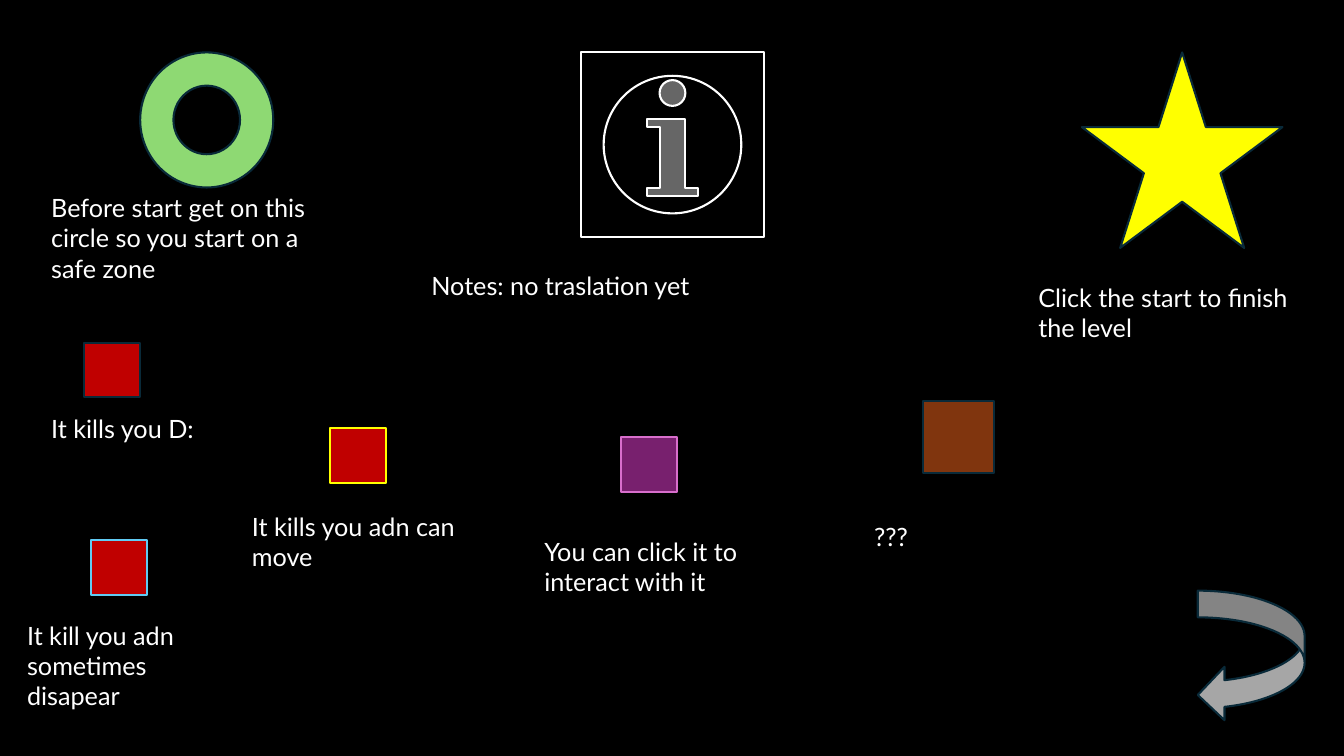
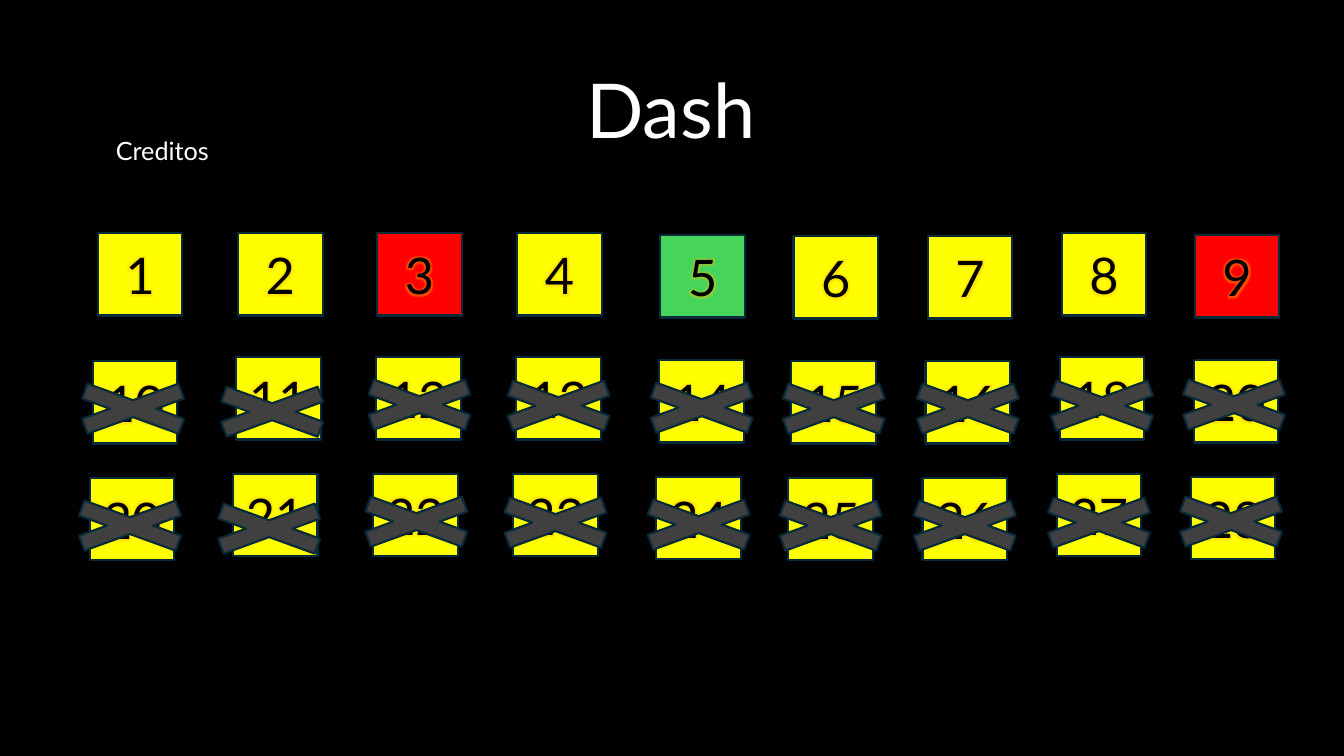
from lxml.etree import SubElement
from pptx import Presentation
from pptx.dml.color import RGBColor
from pptx.enum.shapes import MSO_SHAPE as Kind
from pptx.enum.text import MSO_ANCHOR, MSO_AUTO_SIZE, PP_ALIGN
from pptx.oxml.ns import qn
from pptx.util import Inches, Pt

FONT = "Lato"
HEX = {
    "black": "000000", "white": "FFFFFF", "edge": "092A39",
    "yellow": "FFFF00", "red": "FF0000", "green": "47D45A",
    "lime": "8ED973", "blood": "C00000", "sky": "61CBF4",
    "plum": "78206E", "pink": "D86ECC", "brown": "80350E",
    "silver": "A6A6A6", "slate": "404040", "glow": "FFC000",
}

# Legend: kind, left, top, width, height, fill, line
SIGNS = [
    (Kind.ACTION_BUTTON_INFORMATION, 5.76, 0.52, 1.82, 1.83, "black", "white"),
    (Kind.DONUT, 1.39, 0.52, 1.32, 1.34, "lime", "edge"),
    (Kind.STAR_5_POINT, 10.73, 0.52, 1.99, 1.94, "yellow", "edge"),
    (Kind.CURVED_LEFT_ARROW, 11.88, 5.86, 1.06, 1.3, "silver", "edge"),
    (Kind.RECTANGLE, 9.15, 3.98, 0.71, 0.71, "brown", "edge"),
]
# Small blocks: left, top, fill, line
BLOCKS = [
    (0.83, 3.4, "blood", "edge"),
    (3.27, 4.25, "blood", "yellow"),
    (6.16, 4.34, "plum", "pink"),
    (0.9, 5.36, "blood", "sky"),
]
# Labels: text, left, top, width, height
LABELS = [
    ("Before start get on this circle so you start on a safe zone",
     0.41, 1.86, 3.04, 1.01),
    ("Notes: no traslation yet", 4.18, 2.63, 5.08, 0.4),
    ("Click the start to finish the level", 10.2, 2.75, 3.04, 0.71),
    ("It kills you D:", 0.41, 4.05, 1.62, 0.4),
    ("It kills you adn can move", 2.4, 5.02, 2.28, 0.71),
    ("You can click it to interact with it", 5.3, 5.27, 2.55, 0.71),
    ("It kill you adn sometimes disapear", 0.17, 6.1, 1.91, 1.01),
    ("???", 8.57, 5.12, 2.55, 0.4),
]

# Level grid: places of the open tiles, the locked tiles and their crosses
OPEN = [(0.97, 2.31), (2.36, 2.31), (3.74, 2.31), (5.13, 2.31), (6.55, 2.33),
        (7.87, 2.34), (9.2, 2.34), (10.53, 2.31), (11.85, 2.33)]
LOCKED = [(0.92, 3.58), (2.34, 3.54), (3.73, 3.54), (5.12, 3.54), (6.54, 3.57),
          (7.85, 3.58), (9.18, 3.58), (10.51, 3.54), (11.84, 3.57)]
CROSS = [(0.4, 3.72), (1.78, 3.75), (3.24, 3.68), (4.62, 3.69), (6.04, 3.71),
         (7.35, 3.72), (8.68, 3.72), (10.01, 3.69), (11.32, 3.68)]
SHIFT = (-0.03, 1.16)  # from the first locked row to the second
ROWS = [(10, 11, 12, 13, 14, 15, 16, 18, 20), range(20, 29)]
TINTS = {3: "red", 5: "green", 9: "red"}


def color(name):
    return RGBColor.from_string(HEX[name])


def write(frame, text, size=18, tint="white", align=None, anchor=None,
          space=None):
    """Put one formatted paragraph in a text frame and return its run."""
    frame.word_wrap = True
    if anchor is not None:
        frame.vertical_anchor = anchor
    para = frame.paragraphs[0]
    para.alignment = align
    para.line_spacing = space
    run = para.add_run()
    run.text = text
    run.font.name = FONT
    run.font.size = Pt(size)
    run.font.color.rgb = color(tint)
    return run


def draw(slide, kind, left, top, width, height, fill, line="edge"):
    shape = slide.shapes.add_shape(
        kind, Inches(left), Inches(top), Inches(width), Inches(height))
    shape.shadow.inherit = False
    shape.fill.solid()
    shape.fill.fore_color.rgb = color(fill)
    shape.line.color.rgb = color(line)
    shape.line.width = Pt(1.5)
    return shape


def label(slide, text, left, top, width, height):
    box = slide.shapes.add_textbox(
        Inches(left), Inches(top), Inches(width), Inches(height))
    box.text_frame.auto_size = MSO_AUTO_SIZE.SHAPE_TO_FIT_TEXT
    write(box.text_frame, text)


def halo(run):
    """Add a soft glow after the fill of the run's text."""
    props = run.font._element
    effect = SubElement(props, qn("a:effectLst"))
    props.find(qn("a:solidFill")).addnext(effect)
    glow = SubElement(effect, qn("a:glow"), rad="63500")
    tint = SubElement(glow, qn("a:srgbClr"), val=HEX["glow"])
    SubElement(tint, qn("a:alpha"), val="40000")


def tile(slide, num, left, top, fill="yellow"):
    shape = draw(slide, Kind.RECTANGLE, left, top, 0.84, 0.82, fill)
    halo(write(shape.text_frame, str(num), size=36, tint="black",
               align=PP_ALIGN.CENTER, anchor=MSO_ANCHOR.MIDDLE))


def start(deck, layout):
    """Add a slide with the shared black background."""
    slide = deck.slides.add_slide(deck.slide_layouts[layout])
    slide.background.fill.solid()
    slide.background.fill.fore_color.rgb = color("black")
    return slide


def legend(deck):
    slide = start(deck, 6)
    for sign in SIGNS:
        draw(slide, *sign)
    for left, top, fill, line in BLOCKS:
        draw(slide, Kind.RECTANGLE, left, top, 0.56, 0.54, fill, line)
    for item in LABELS:
        label(slide, *item)


def levels(deck):
    slide = start(deck, 0)

    # Title
    sub = slide.placeholders[1]._element
    sub.getparent().remove(sub)
    title = slide.shapes.title
    title.left, title.top = Inches(5.59), Inches(0.59)
    title.width, title.height = Inches(2.13), Inches(1)
    title.text_frame.auto_size = MSO_AUTO_SIZE.NONE
    write(title.text_frame, "Dash", size=54, align=PP_ALIGN.CENTER,
          anchor=MSO_ANCHOR.BOTTOM, space=0.9)
    label(slide, "Creditos", 1.05, 1.29, 1.22, 0.4)

    # Open levels
    for num, (left, top) in enumerate(OPEN, 1):
        tile(slide, num, left, top, TINTS.get(num, "yellow"))

    # Locked levels, each crossed out
    for row, nums in enumerate(ROWS):
        dx, dy = (row * step for step in SHIFT)
        for num, (left, top), (x, y) in zip(nums, LOCKED, CROSS):
            tile(slide, num, left + dx, top + dy)
            draw(slide, Kind.MATH_MULTIPLY, x + dx, y + dy, 1.84, 0.67,
                 "slate")


def main():
    deck = Presentation()
    deck.slide_width, deck.slide_height = Inches(13.33), Inches(7.5)
    legend(deck)
    levels(deck)
    deck.save("out.pptx")


if __name__ == "__main__":
    main()
